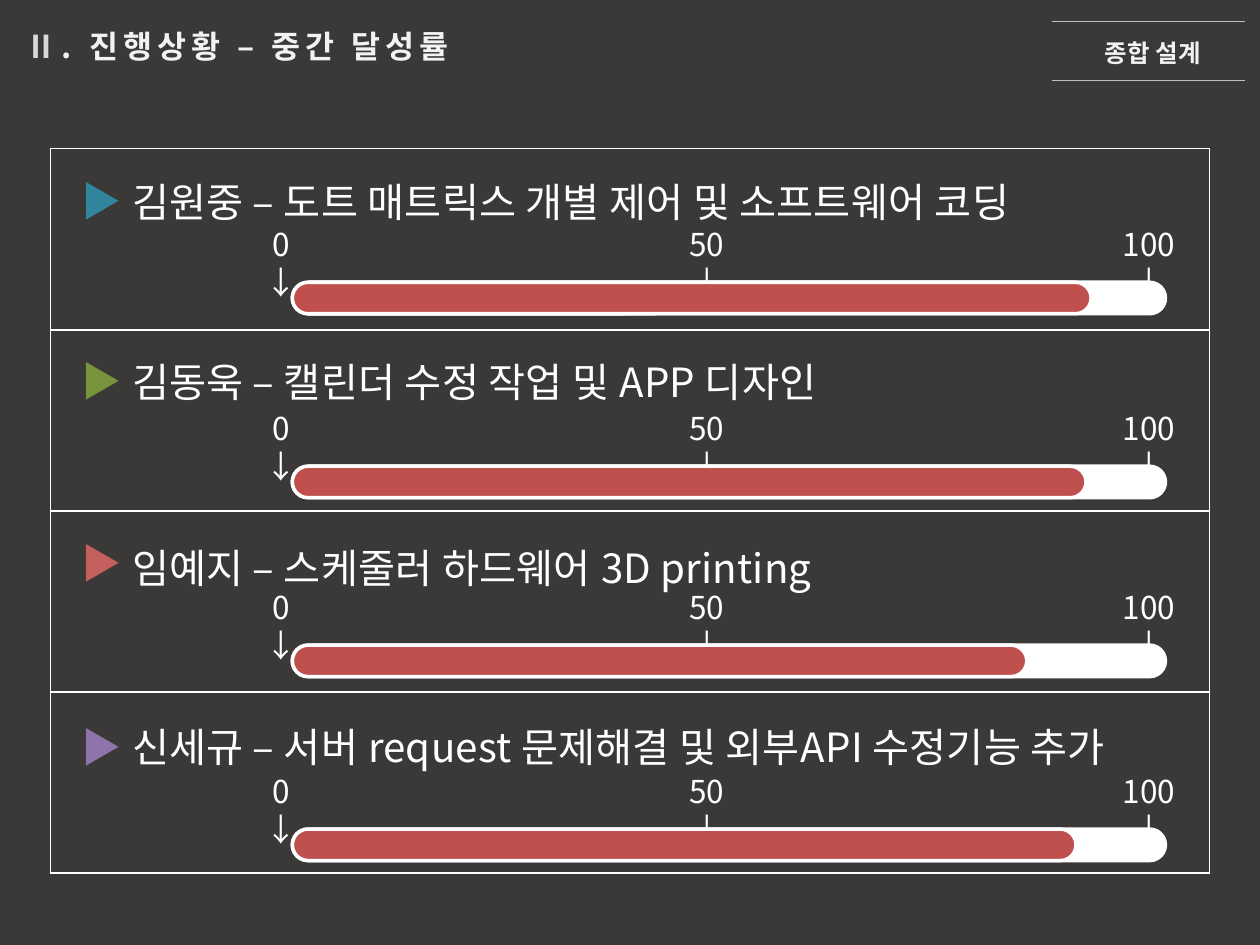
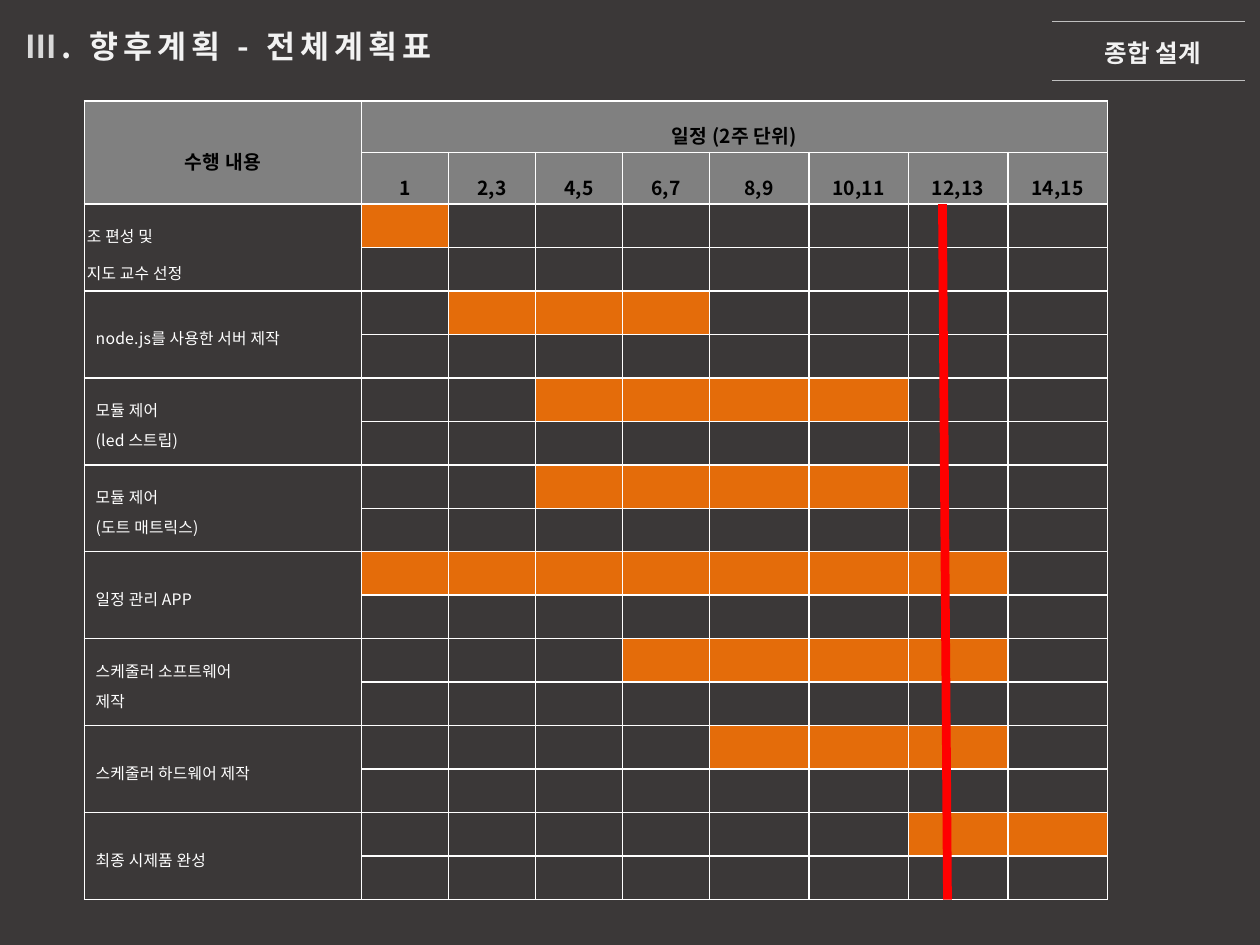
from dataclasses import dataclass

from lxml import etree
from pptx import Presentation
from pptx.dml.color import RGBColor
from pptx.enum.shapes import MSO_CONNECTOR, MSO_SHAPE
from pptx.enum.text import MSO_ANCHOR, MSO_AUTO_SIZE, PP_ALIGN
from pptx.oxml.ns import qn
from pptx.util import Inches, Pt

LEFT, CENTER, RIGHT, JUSTIFY = (PP_ALIGN.LEFT, PP_ALIGN.CENTER,
                                PP_ALIGN.RIGHT, PP_ALIGN.JUSTIFY)
MIDDLE, TOP = MSO_ANCHOR.MIDDLE, MSO_ANCHOR.TOP
STRAIGHT, ROUND_RECT = MSO_CONNECTOR.STRAIGHT, MSO_SHAPE.ROUNDED_RECTANGLE
NO_AUTOSIZE = MSO_AUTO_SIZE.NONE

FONT = "Noto Sans CJK KR"
DARK = RGBColor(0x3B, 0x38, 0x38)
WHITE = RGBColor(0xFF, 0xFF, 0xFF)
BLACK = RGBColor(0x00, 0x00, 0x00)
OFF_WHITE = RGBColor(0xF2, 0xF2, 0xF2)
PALE_GRAY = RGBColor(0xD9, 0xD9, 0xD9)
RULE_GRAY = RGBColor(0xBF, 0xBF, 0xBF)
HEADER_GRAY = RGBColor(0x80, 0x80, 0x80)
BAR_RED = RGBColor(0xC0, 0x50, 0x4D)
ORANGE = RGBColor(0xE4, 0x6C, 0x0A)
RED = RGBColor(0xFF, 0x00, 0x00)


@dataclass
class Member:
    task: str
    color: RGBColor
    marker_top: float
    task_top: float
    bar_top: float
    bar_width: float


@dataclass
class Task:
    label: list[str]
    first: int  # first and last filled period columns
    last: int


MEMBERS = [
    Member("김원중 – 도트 매트릭스 개별 제어 및 소프트웨어 코딩",
           RGBColor(0x31, 0x85, 0x9C), 1.35, 1.36, 2.24, 6.34),
    Member("김동욱 – 캘린더 수정 작업 및 APP 디자인",
           RGBColor(0x77, 0x93, 0x3C), 2.78, 2.79, 3.7, 6.3),
    Member("임예지 – 스케줄러 하드웨어 3D printing",
           RGBColor(0xC6, 0x60, 0x5E), 4.22, 4.26, 5.12, 5.83),
    Member("신세규 – 서버 request 문제해결 및 외부API 수정기능 추가",
           RGBColor(0x8D, 0x75, 0xAB), 5.68, 5.68, 6.58, 6.22),
]
SCALE = {"0": 2.23, "50": 5.61, "100": 9.12}  # label and its centre
BAR_LEFT, BAR_FULL, BAR_HEIGHT = 2.32, 6.93, 0.25

PERIODS = ["1", "2,3", "4,5", "6,7", "8,9", "10,11", "12,13", "14,15"]
TASKS = [
    Task(["조 편성 및", "지도 교수 선정"], 1, 1),
    Task(["node.js를 사용한 서버 제작"], 2, 4),
    Task(["모듈 제어", "(led 스트립)"], 3, 6),
    Task(["모듈 제어", "(도트 매트릭스)"], 3, 6),
    Task(["일정 관리 APP"], 1, 7),
    Task(["스케줄러 소프트웨어", "제작"], 4, 7),
    Task(["스케줄러 하드웨어 제작"], 5, 7),
    Task(["최종 시제품 완성"], 7, 8),
]


# Shared helpers
def style_run(r, size: float, color: RGBColor, bold=False, spacing=0.0) -> None:
    f = r.font
    f.size, f.bold, f.name = Pt(size), bold, FONT
    f.color.rgb = color
    rpr = r._r.get_or_add_rPr()
    if spacing:
        rpr.set("spc", str(round(spacing * 100)))
    ea = etree.Element(qn("a:ea"), typeface=FONT)
    rpr.find(qn("a:latin")).addnext(ea)


def add_text(s, text: str, left: float, top: float, width: float, height: float,
             size: float, color: RGBColor, align=LEFT, bold=False,
             spacing=0.0, wrap=True) -> None:
    tf = s.shapes.add_textbox(Inches(left), Inches(top),
                              Inches(width), Inches(height)).text_frame
    tf.word_wrap = wrap
    tf.text = text
    for p in tf.paragraphs:
        p.alignment = align
        style_run(p.runs[0], size, color, bold, spacing)


def add_line(s, x1: float, y1: float, x2: float, y2: float,
             color: RGBColor, width: float) -> None:
    line = s.shapes.add_connector(STRAIGHT, Inches(x1), Inches(y1),
                                  Inches(x2), Inches(y2))
    line.line.color.rgb, line.line.width = color, Pt(width)
    etree.SubElement(line._element.spPr, qn("a:effectLst"))


def add_bar(s, top: float, width: float, color: RGBColor) -> None:
    sp = s.shapes.add_shape(ROUND_RECT, Inches(BAR_LEFT), Inches(top),
                            Inches(width), Inches(BAR_HEIGHT))
    sp.adjustments[0] = 0.5
    sp.shadow.inherit = False
    sp.fill.solid()
    sp.fill.fore_color.rgb = color
    sp.line.color.rgb, sp.line.width = WHITE, Pt(2)


def add_grid(s, left: float, top: float, cols: list[float], rows: list[float]):
    """Add a table of clear cells with white borders."""
    table = s.shapes.add_table(len(rows), len(cols), Inches(left), Inches(top),
                               Inches(sum(cols)), Inches(sum(rows))).table
    table.first_row = table.horz_banding = False
    for column, width in zip(table.columns, cols):
        column.width = Inches(width)
    for row, height in zip(table.rows, rows):
        row.height = Inches(height)
    for cell in table.iter_cells():
        tcpr = cell._tc.get_or_add_tcPr()
        for side in ("lnL", "lnR", "lnT", "lnB"):
            ln = etree.SubElement(tcpr, qn(f"a:{side}"), w=str(Pt(1)))
            fill = etree.SubElement(ln, qn("a:solidFill"))
            etree.SubElement(fill, qn("a:srgbClr"), val=str(WHITE))
        cell.fill.background()
        cell.vertical_anchor = MIDDLE
        cell.margin_left = cell.margin_right = Inches(0.02)
        cell.margin_top = cell.margin_bottom = Inches(0.02)
    return table


def fill_cell(cell, color: RGBColor) -> None:
    cell.fill.solid()
    cell.fill.fore_color.rgb = color


def write_cell(cell, lines: list[str], size: float, color: RGBColor, align,
               line_spacing: float, bold=False, indent=0.0) -> None:
    cell.text_frame.text = "\n".join(lines)
    for p in cell.text_frame.paragraphs:
        p.alignment, p.line_spacing = align, line_spacing
        if indent:
            ppr = p._p.get_or_add_pPr()
            ppr.set("marL", str(Inches(indent)))
            ppr.set("indent", "0")
        style_run(p.runs[0], size, color, bold, 0.1)


def add_titled_slide(prs, number: str, title: str):
    s = prs.slides.add_slide(prs.slide_layouts[5])
    # Title
    sp = s.shapes.title
    sp.left, sp.top = Inches(0.1), Inches(0.17)
    sp.width, sp.height = Inches(5.1), Inches(0.39)
    tf = sp.text_frame
    tf.auto_size, tf.vertical_anchor, tf.word_wrap = NO_AUTOSIZE, MIDDLE, True
    p = tf.paragraphs[0]
    p.alignment = LEFT
    for text, color in ((number, PALE_GRAY), (f". {title}", OFF_WHITE)):
        r = p.add_run()
        r.text = text
        style_run(r, 18, color, True, 2.9)
    # Course tag between two rules
    add_text(s, "종합 설계", 8.61, 0.25, 1.02, 0.32, 14, OFF_WHITE,
             RIGHT, True, wrap=False)
    for y in (0.17, 0.64):
        add_line(s, 8.35, y, 9.88, y, RULE_GRAY, 0.75)
    return s


# Slides
def build_progress(prs) -> None:
    s = add_titled_slide(prs, "Ⅱ", "진행상황 – 중간 달성률")
    table = add_grid(s, 0.4, 1.18, [9.2], [5.75 / len(MEMBERS)] * len(MEMBERS))
    for cell in table.iter_cells():
        cell.vertical_anchor = TOP
    for m in MEMBERS:
        add_text(s, "▶", 0.55, m.marker_top, 0.79, 0.49, 23, m.color, spacing=0.1)
        add_text(s, m.task, 0.95, m.task_top, 8.65, 0.49, 23, WHITE, spacing=0.1)
        for label, center in SCALE.items():
            add_text(s, f"{label}\n↓", center - 0.52, m.bar_top - 0.5, 1.04, 0.99,
                     18, WHITE, CENTER)
        add_bar(s, m.bar_top, BAR_FULL, WHITE)
        add_bar(s, m.bar_top, m.bar_width, BAR_RED)


def build_schedule(prs) -> None:
    s = add_titled_slide(prs, "Ⅲ", "향후계획 - 전체계획표")
    half_rows = 2 * len(TASKS)
    table = add_grid(s, 0.67, 0.8, [2.2] + [0.69] * 4 + [0.79] * 4,
                     [0.41] * 2 + [5.52 / half_rows] * half_rows)

    # Header
    table.cell(0, 0).merge(table.cell(1, 0))
    table.cell(0, 1).merge(table.cell(0, len(PERIODS)))
    headers = [(0, 0, "수행 내용"), (0, 1, "일정 (2주 단위)")]
    headers += [(1, col, period) for col, period in enumerate(PERIODS, 1)]
    for row, col, text in headers:
        fill_cell(table.cell(row, col), HEADER_GRAY)
        write_cell(table.cell(row, col), [text], 11, BLACK, CENTER, 1.6, True)

    # Tasks, two half rows each
    for i, task in enumerate(TASKS):
        row = 2 + 2 * i
        label = table.cell(row, 0)
        label.merge(table.cell(row + 1, 0))
        spacing, indent = (1.3, 0.07) if i else (1.6, 0.0)
        write_cell(label, task.label, 9, WHITE, JUSTIFY, spacing, indent=indent)
        for col in range(task.first, task.last + 1):
            fill_cell(table.cell(row, col), ORANGE)

    # Small type in empty cells keeps the rows low
    for cell in table.iter_cells():
        if not cell.text_frame.text:
            p = cell.text_frame.paragraphs[0]
            etree.SubElement(p._p, qn("a:endParaRPr"), sz="900")

    # Current date
    add_line(s, 7.48, 1.62, 7.52, 7.14, RED, 5)


def main() -> None:
    prs = Presentation()
    prs.slide_width, prs.slide_height = Inches(10), Inches(7.5)
    background = prs.slide_master.background.fill
    background.solid()
    background.fore_color.rgb = DARK
    build_progress(prs)
    build_schedule(prs)
    prs.save("out.pptx")


if __name__ == "__main__":
    main()
